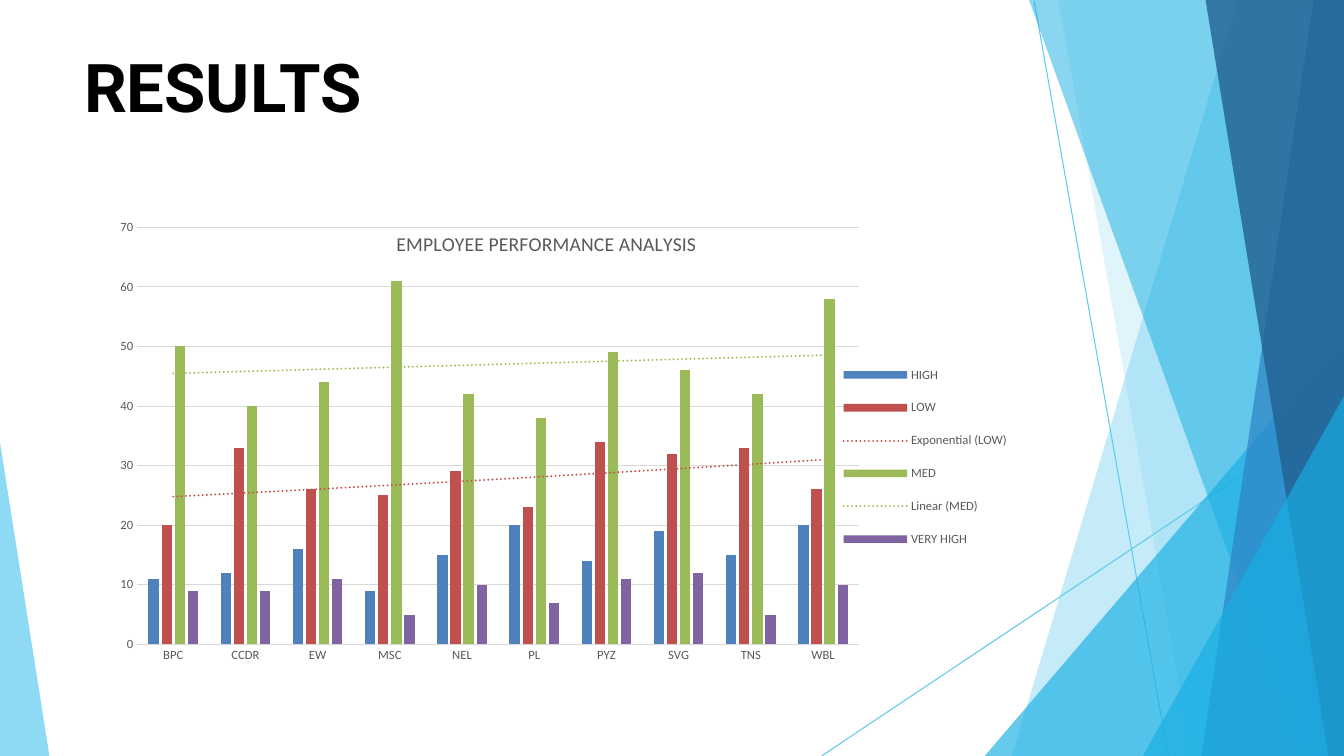
from lxml.etree import SubElement
from pptx import Presentation
from pptx.chart.data import CategoryChartData as ChartData
from pptx.dml.color import RGBColor
from pptx.enum.chart import XL_CHART_TYPE as ChartType
from pptx.enum.chart import XL_LEGEND_POSITION as LegendPosition
from pptx.enum.chart import XL_TICK_MARK as TickMark
from pptx.enum.shapes import MSO_CONNECTOR as Connector
from pptx.enum.text import MSO_ANCHOR as Anchor
from pptx.oxml import parse_xml
from pptx.oxml.ns import nsdecls, qn
from pptx.util import Pt

WIDTH, HEIGHT = 960, 540
BLACK = RGBColor(0x00, 0x00, 0x00)
GREY = RGBColor(0x59, 0x59, 0x59)
PALE_GREY = RGBColor(0xD9, 0xD9, 0xD9)
SKY = RGBColor(0x5F, 0xCA, 0xEE)
CYAN = RGBColor(0x17, 0xAF, 0xE3)
BLUE = RGBColor(0x2D, 0x83, 0xC3)
NAVY = RGBColor(0x22, 0x61, 0x92)
BAR_BLUE = RGBColor(0x4F, 0x81, 0xBD)
BAR_RED = RGBColor(0xC0, 0x50, 0x4D)
BAR_GREEN = RGBColor(0x9B, 0xBB, 0x59)
BAR_PURPLE = RGBColor(0x80, 0x64, 0xA2)

TEAMS = ["BPC", "CCDR", "EW", "MSC", "NEL", "PL", "PYZ", "SVG", "TNS", "WBL"]
# Rating: values, colour, trend line type
RATINGS = {
    "HIGH": ([11, 12, 16, 9, 15, 20, 14, 19, 15, 20], BAR_BLUE, None),
    "LOW": ([20, 33, 26, 25, 29, 23, 34, 32, 33, 26], BAR_RED, "exp"),
    "MED": ([50, 40, 44, 61, 42, 38, 49, 46, 42, 58], BAR_GREEN, "linear"),
    "VERY HIGH": ([9, 9, 11, 5, 10, 7, 11, 12, 5, 10], BAR_PURPLE, None),
}

# Corners, colour and opacity in percent, from back to front
FACETS = [
    ([(960, 0), (884.2, 0), (722.9, 540), (960, 540)], SKY, 36),
    ([(960, 0), (756, 0), (851, 540), (960, 540)], SKY, 20),
    ([(960, 239.8), (703.4, 540), (960, 540)], CYAN, 66),
    ([(960, 0), (735.1, 0), (929.5, 540), (960, 540)], CYAN, 50),
    ([(960, 0), (938.2, 0), (858.2, 540), (960, 540)], BLUE, 70),
    ([(960, 0), (861.1, 0), (949, 540), (960, 540)], NAVY, 80),
    ([(960, 283), (816.5, 540), (960, 540)], CYAN, 66),
    ([(0, 316.1), (0, 540), (35.3, 540)], SKY, 70),
]


class SlideBuilder:
    heading_font = "Roboto"
    chart_font = "Calibri"
    hairline = Pt(0.75)

    def __init__(self, slide):
        self.shapes = slide.shapes

    def line(self, start, end, color):
        line = self.shapes.add_connector(Connector.STRAIGHT, *map(Pt, start + end))
        line.line.color.rgb = color
        line.line.width = self.hairline
        SubElement(line._element.spPr, qn("a:effectLst"))

    def facet(self, corners, color, opacity):
        points = [(Pt(x), Pt(y)) for x, y in corners]
        outline = self.shapes.build_freeform(*points[0])
        outline.add_line_segments(points[1:], close=True)
        facet = outline.convert_to_shape()
        facet.shadow.inherit = False
        facet.line.fill.background()
        facet.fill.solid()
        facet.fill.fore_color.rgb = color
        tint = facet._element.spPr.find(".//" + qn("a:srgbClr"))
        SubElement(tint, qn("a:alpha")).set("val", str(opacity * 1000))

    def heading(self, text, left, top, width, height):
        frame = self.shapes.add_textbox(*map(Pt, (left, top, width, height))).text_frame
        frame.word_wrap = True
        frame.vertical_anchor = Anchor.BOTTOM
        frame.margin_left = frame.margin_right = 0
        frame.margin_top = frame.margin_bottom = 0
        paragraph = frame.paragraphs[0]
        paragraph.text = text
        self.style(paragraph.font, 48, BLACK, self.heading_font, True)

    def column_chart(self, title, categories, ratings, left, top, width, height):
        data = ChartData()
        data.categories = categories
        for name, (values, _, _) in ratings.items():
            data.add_series(name, values)
        chart = self.shapes.add_chart(
            ChartType.COLUMN_CLUSTERED, *map(Pt, (left, top, width, height)), data
        ).chart
        self.style(chart.font, 10, BLACK, self.chart_font)

        # Bars and trend lines
        plot = chart.plots[0]
        plot.vary_by_categories = False
        plot.gap_width, plot.overlap = 219, -27
        for series in plot.series:
            _, color, trend = ratings[series.name]
            series.format.fill.solid()
            series.format.fill.fore_color.rgb = color
            if trend:
                self.trend_line(series, trend, color)

        # Axes
        for axis in (chart.category_axis, chart.value_axis):
            axis.major_tick_mark = axis.minor_tick_mark = TickMark.NONE
            self.style(axis.tick_labels.font, 9, GREY, self.chart_font)
        chart.value_axis.format.line.fill.background()
        chart.value_axis.minimum_scale = 0
        chart.value_axis.maximum_scale = 70
        chart.value_axis.major_unit = 10
        for rule in (chart.category_axis, chart.value_axis.major_gridlines):
            rule.format.line.color.rgb = PALE_GREY
            rule.format.line.width = self.hairline

        # Title and legend
        chart.has_title = True
        paragraph = chart.chart_title.text_frame.paragraphs[0]
        paragraph.text = title
        self.style(paragraph.font, 14, GREY, self.chart_font, False)
        chart.has_legend = True
        chart.legend.position = LegendPosition.RIGHT
        chart.legend.include_in_layout = False
        self.style(chart.legend.font, 9, GREY, self.chart_font)

        # Positions as fractions of the chart
        plot_area = chart._chartSpace.chart.plotArea
        self.place(plot_area, "inner", x=0.038, y=0.132, w=0.754, h=0.813)
        self.place(chart.chart_title._element, x=0.305, y=0.13)
        self.place(chart.legend._element, x=0.766, y=0.37, w=0.19, h=0.42)

    @staticmethod
    def style(font, size, color, name, bold=None):
        font.size, font.name, font.bold = Pt(size), name, bold
        font.color.rgb = color

    @staticmethod
    def trend_line(series, kind, color):
        trend = parse_xml(
            f'<c:trendline {nsdecls("c", "a")}><c:spPr><a:ln w="{Pt(1.5)}" cap="rnd">'
            f'<a:solidFill><a:srgbClr val="{color}"/></a:solidFill>'
            '<a:prstDash val="sysDot"/></a:ln></c:spPr>'
            f'<c:trendlineType val="{kind}"/><c:dispRSqr val="0"/><c:dispEq val="0"/>'
            "</c:trendline>"
        )
        series._element.find(qn("c:cat")).addprevious(trend)

    @staticmethod
    def place(part, target=None, **fractions):
        for old in part.findall(qn("c:layout")):
            part.remove(old)
        layout = parse_xml(f'<c:layout {nsdecls("c")}><c:manualLayout/></c:layout>')
        if target:
            SubElement(layout[0], qn("c:layoutTarget")).set("val", target)
        for axis in "xy":
            SubElement(layout[0], qn(f"c:{axis}Mode")).set("val", "edge")
        for key, value in fractions.items():
            SubElement(layout[0], qn(f"c:{key}")).set("val", str(value))
        overlay = part.find(qn("c:overlay"))
        if overlay is None:
            part.insert(0, layout)
        else:
            overlay.addprevious(layout)


def main():
    deck = Presentation()
    deck.slide_width, deck.slide_height = Pt(WIDTH), Pt(HEIGHT)
    results = SlideBuilder(deck.slides.add_slide(deck.slide_layouts[6]))

    # Background facets
    results.line((738.7, 0.7), (834.5, HEIGHT), SKY)
    results.line((WIDTH, 290.9), (586.8, HEIGHT), SKY)
    for corners, color, opacity in FACETS:
        results.facet(corners, color, opacity)

    # Heading and chart
    results.heading("RESULTS", 60, 30, 841, 60)
    results.column_chart(
        "EMPLOYEE PERFORMANCE ANALYSIS", TEAMS, RATINGS, 72, 114, 684, 366.5
    )
    deck.save("out.pptx")


if __name__ == "__main__":
    main()
